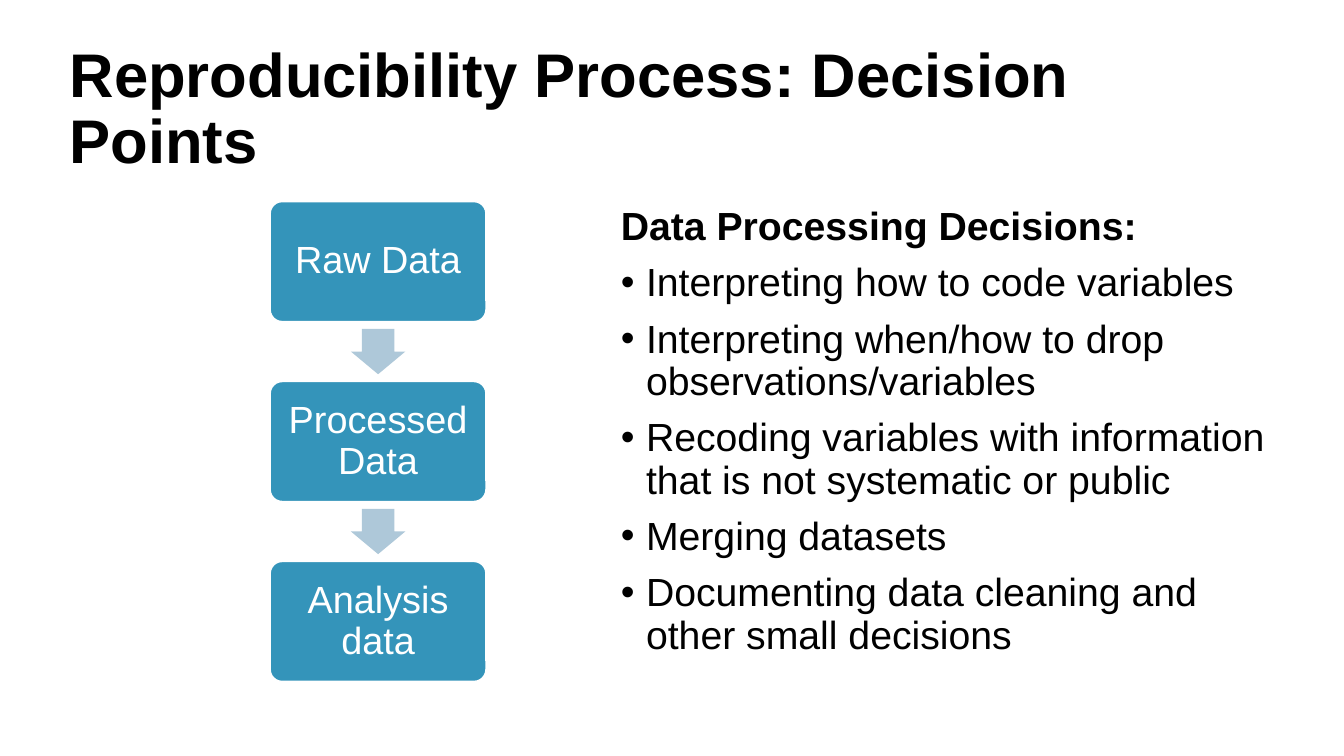
from dataclasses import dataclass

from lxml.etree import SubElement
from pptx import Presentation
from pptx.dml.color import RGBColor
from pptx.enum.shapes import MSO_SHAPE as Preset
from pptx.enum.text import MSO_ANCHOR as Anchor, PP_ALIGN as Align
from pptx.oxml.ns import qn
from pptx.util import Inches, Pt


@dataclass(frozen=True)
class Theme:
    font: str = "Arial"
    ink: str = "000000"
    paper: str = "FFFFFF"
    stage: str = "3494BA"
    arrow: str = "AEC8D9"
    title_size: int = 44
    body_size: int = 28
    stage_size: int = 27


THEME = Theme()
STAGES = ["Raw Data", "Processed Data", "Analysis data"]
DECISIONS = [
    "Interpreting how to code variables",
    "Interpreting when/how to drop observations/variables",
    "Recoding variables with information that is not systematic or public",
    "Merging datasets",
    "Documenting data cleaning and other small decisions",
]


def write(paragraph, text, size, color=THEME.ink, bold=False,
          align=Align.LEFT, before=0, bullet=False):
    paragraph.alignment = align
    paragraph.line_spacing = 0.9
    paragraph.space_before = Pt(before)
    if bullet:
        props = paragraph._p.get_or_add_pPr()
        props.set("marL", str(Inches(0.25)))
        props.set("indent", str(Inches(-0.25)))
        SubElement(props, qn("a:buFont")).set("typeface", THEME.font)
        SubElement(props, qn("a:buChar")).set("char", "•")
    run = paragraph.add_run()
    run.text = text
    run.font.name = THEME.font
    run.font.size = Pt(size)
    run.font.bold = bold
    run.font.color.rgb = RGBColor.from_string(color)


def add_filled(slide, preset, left, top, width, height, color):
    shape = slide.shapes.add_shape(
        preset, Inches(left), Inches(top), Inches(width), Inches(height))
    shape.shadow.inherit = False
    shape.fill.solid()
    shape.fill.fore_color.rgb = RGBColor.from_string(color)
    shape.line.fill.background()
    return shape


def add_title(slide, left, top, width, height):
    title = slide.shapes.title
    title.left, title.top = Inches(left), Inches(top)
    title.width, title.height = Inches(width), Inches(height)
    frame = title.text_frame
    frame.word_wrap = True
    frame.vertical_anchor = Anchor.MIDDLE
    write(frame.paragraphs[0], "Reproducibility Process: Decision Points",
          THEME.title_size, bold=True)


def add_stage(slide, text, left, top, width, height):
    stage = add_filled(slide, Preset.ROUNDED_RECTANGLE,
                       left, top, width, height, THEME.stage)
    stage.adjustments[0] = 0.1
    stage.line.color.rgb = RGBColor.from_string(THEME.paper)
    stage.line.width = Pt(1)
    frame = stage.text_frame
    frame.word_wrap = True
    frame.vertical_anchor = Anchor.MIDDLE
    frame.margin_left = frame.margin_right = Inches(0.11)
    frame.margin_top = frame.margin_bottom = Inches(0.11)
    write(frame.paragraphs[0], text, THEME.stage_size, THEME.paper,
          align=Align.CENTER)


def add_process(slide, left, top, width, height):
    """Stack the stages evenly, with an arrow centred in each gap."""
    stage_height = height / 4
    pitch = (height - stage_height) / (len(STAGES) - 1)
    arrow_length, arrow_width = 0.45, 0.54
    for index, text in enumerate(STAGES):
        stage_top = top + index * pitch
        if index:
            gap_middle = stage_top - (pitch - stage_height) / 2
            arrow = add_filled(slide, Preset.RIGHT_ARROW,
                               left + (width - arrow_length) / 2,
                               gap_middle - arrow_width / 2,
                               arrow_length, arrow_width, THEME.arrow)
            arrow.rotation = 90
            arrow.adjustments[0] = 0.6
            arrow.adjustments[1] = 0.5
        add_stage(slide, text, left, stage_top, width, stage_height)


def add_decisions(slide, left, top, width, height):
    frame = slide.shapes.add_textbox(
        Inches(left), Inches(top), Inches(width), Inches(height)).text_frame
    frame.word_wrap = True
    write(frame.paragraphs[0], "Data Processing Decisions:",
          THEME.body_size, bold=True, before=10)
    for decision in DECISIONS:
        write(frame.add_paragraph(), decision, THEME.body_size,
              before=10, bullet=True)


def main():
    deck = Presentation()
    deck.slide_width, deck.slide_height = Inches(13.33), Inches(7.5)
    slide = deck.slides.add_slide(deck.slide_layouts.get_by_name("Title Only"))
    add_title(slide, 0.59, 0.37, 12.14, 1.45)
    add_process(slide, 2.68, 2, 2.14, 4.76)
    add_decisions(slide, 6.06, 2, 6.8, 4.76)
    deck.save("out.pptx")


if __name__ == "__main__":
    main()
